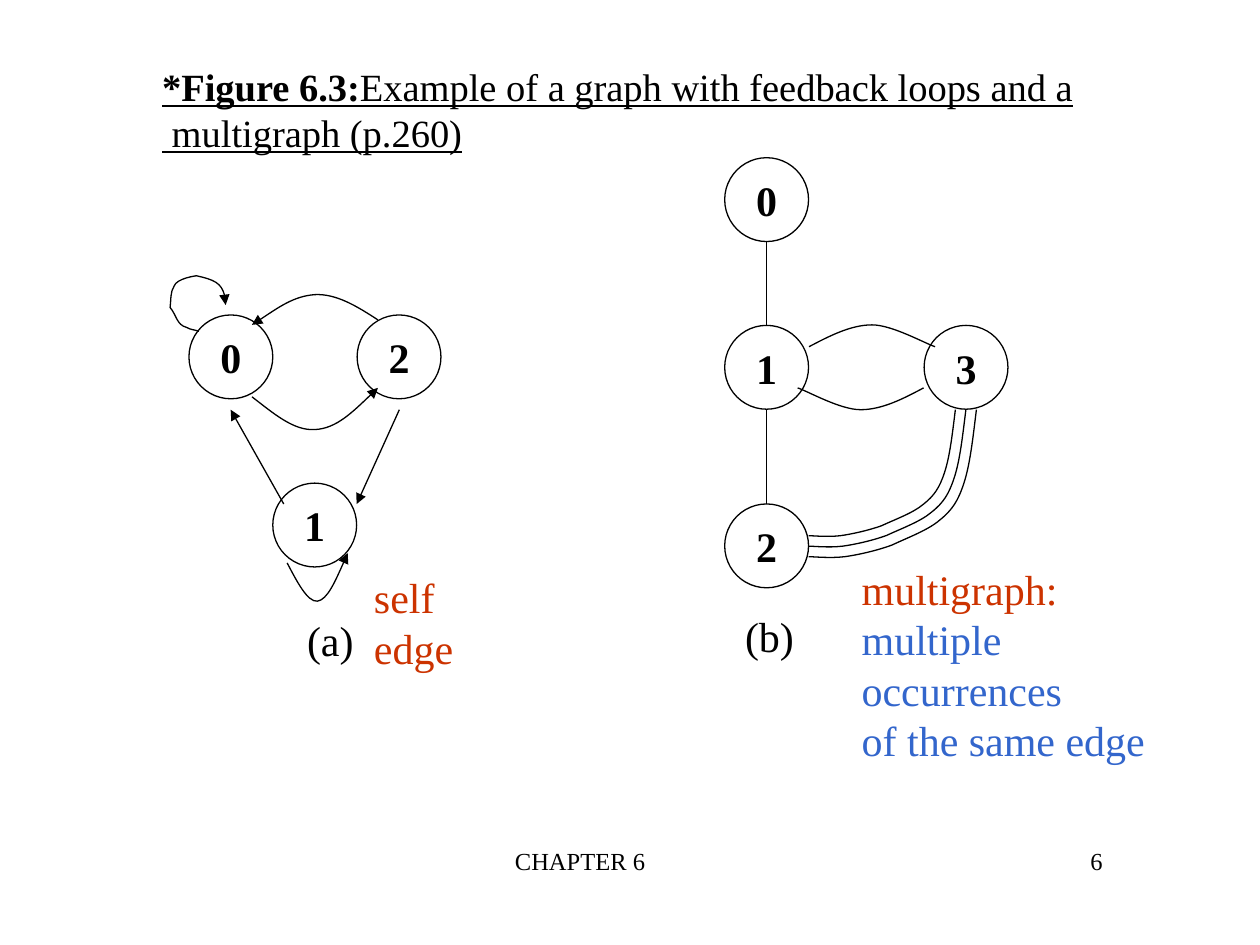
from dataclasses import dataclass

from lxml.etree import SubElement
from pptx import Presentation
from pptx.dml.color import RGBColor
from pptx.enum.shapes import MSO_CONNECTOR, MSO_SHAPE
from pptx.enum.text import MSO_ANCHOR, PP_ALIGN
from pptx.oxml.ns import qn
from pptx.util import Cm, Pt

BLACK = RGBColor(0x00, 0x00, 0x00)
RED = RGBColor(0xCC, 0x33, 0x00)
BLUE = RGBColor(0x33, 0x66, 0xCC)
FONT = "Times New Roman"
SIZE = 1.69  # node width in cm

Point = tuple[float, float]


@dataclass
class Node:
    text: str
    left: float
    top: float


@dataclass
class Edge:
    start: Point
    end: Point
    arrow: bool = False


@dataclass
class Curve:
    points: list[Point]  # start, then two handles and an end per piece
    arrow: bool = False


@dataclass
class Label:
    lines: list[tuple[str, RGBColor]]
    left: float
    top: float
    width: float
    height: float
    size: int = 24
    align: PP_ALIGN = PP_ALIGN.LEFT
    wrap: bool = False


NODES = [
    Node("0", 3.81, 6.35), Node("2", 7.2, 6.35), Node("1", 5.5, 9.74),
    Node("0", 14.61, 3.18), Node("1", 14.61, 6.56),
    Node("2", 14.61, 10.16), Node("3", 18.63, 6.56),
]
EDGES = [
    Edge((5.72, 10.16), (4.65, 8.26), True),
    Edge((8.05, 8.26), (7.19, 10.16), True),
    Edge((15.45, 4.87), (15.45, 6.56)),
    Edge((15.45, 8.25), (15.45, 10.16)),
]
CURVES = [
    # Graph (a): loop on 0, both ways between 0 and 2, loop on 1
    Curve([(4.01, 6.68), (3.94, 6.65), (3.84, 6.65), (3.76, 6.6),
           (3.56, 6.55), (3.56, 6.35), (3.43, 6.2),
           (3.45, 6.05), (3.43, 5.89), (3.51, 5.77),
           (3.56, 5.61), (3.96, 5.56), (3.96, 5.56),
           (4.32, 5.64), (4.55, 5.74), (4.55, 6.15)], True),
    Curve([(7.62, 6.45), (7.19, 6.17), (6.78, 5.92), (6.35, 5.94),
           (5.92, 5.97), (5.51, 6.27), (5.08, 6.55)], True),
    Curve([(5.08, 8), (5.51, 8.33), (5.92, 8.69), (6.35, 8.66),
           (6.78, 8.64), (7.19, 8.23), (7.62, 7.82)], True),
    Curve([(5.79, 11.35), (5.99, 11.73), (6.2, 12.14), (6.4, 12.12),
           (6.6, 12.09), (6.81, 11.61), (7.01, 11.15)], True),
    # Graph (b): two edges between 1 and 3
    Curve([(16.31, 6.99), (16.71, 6.78), (17.15, 6.55), (17.58, 6.55),
           (17.98, 6.55), (18.62, 6.91), (18.85, 6.99)]),
    Curve([(18.62, 7.82), (18.21, 8.04), (17.78, 8.26), (17.35, 8.26),
           (16.94, 8.26), (16.31, 7.9), (16.08, 7.82)]),
]
# Graph (b): three nested edges from 3 to 2, grown from one corner
CORNER = (16.3, 8.26)
BEND = [(2.96, 0), (2.9, 0.48), (2.85, 0.94), (2.74, 1.27),
        (2.64, 1.57), (2.54, 1.73), (2.31, 1.91),
        (2.11, 2.08), (1.75, 2.21), (1.47, 2.34),
        (1.19, 2.44), (0.86, 2.51), (0.64, 2.54),
        (0.38, 2.57), (0.1, 2.54), (0, 2.54)]
CURVES += [
    Curve([(CORNER[0] + x * (1 + step / 14), CORNER[1] + y * (1 + step / 12))
           for x, y in BEND])
    for step in range(3)
]
LABELS = [
    Label([("CHAPTER 6", BLACK)], 7.67, 16.94, 8.05, 1.27, 14, PP_ALIGN.CENTER, True),
    Label([("6", BLACK)], 17.2, 16.94, 5.28, 1.27, 14, PP_ALIGN.RIGHT, True),
    Label([("(a)", BLACK)], 5.94, 12.27, 1.45, 1.27),
    Label([("(b)", BLACK)], 14.77, 12.19, 1.49, 1.27),
    Label([("self edge", RED)], 7.29, 11.4, 3.53, 1.27),
    Label([("multigraph:", RED), ("multiple occurrences", BLUE),
           ("of the same edge", BLUE)], 17.12, 11.23, 7.57, 3.3),
]


def style(line, arrow: bool) -> None:
    line.color.rgb = BLACK
    line.width = Pt(0.75)
    if arrow:
        SubElement(line._get_or_add_ln(), qn("a:tailEnd"), type="triangle")


def set_font(font, size: int, color: RGBColor) -> None:
    font.name = FONT
    font.size = Pt(size)
    font.color.rgb = color


def draw_node(shapes, node: Node) -> None:
    shape = shapes.add_shape(MSO_SHAPE.OVAL, Cm(node.left), Cm(node.top),
                             Cm(SIZE), Cm(SIZE))
    shape.shadow.inherit = False
    shape.fill.background()
    style(shape.line, False)
    frame = shape.text_frame
    frame.word_wrap = False
    frame.vertical_anchor = MSO_ANCHOR.MIDDLE
    para = frame.paragraphs[0]
    para.text = node.text
    para.alignment = PP_ALIGN.CENTER
    set_font(para.font, 24, BLACK)
    para.font.bold = True


def draw_edge(shapes, edge: Edge) -> None:
    ends = [Cm(value) for value in edge.start + edge.end]
    line = shapes.add_connector(MSO_CONNECTOR.STRAIGHT, *ends)
    style(line.line, edge.arrow)
    SubElement(line._element.spPr, qn("a:effectLst"))


def draw_curve(shapes, curve: Curve) -> None:
    first, *rest = [(Cm(x), Cm(y)) for x, y in curve.points]
    pen = shapes.build_freeform(*first)
    pen.add_line_segments(rest, close=False)
    shape = pen.convert_to_shape()
    shape.shadow.inherit = False
    shape.fill.background()
    style(shape.line, curve.arrow)
    # Join each three straight parts into one Bezier piece
    parts = list(shape._element.iter(qn("a:lnTo")))
    track = parts[0].getparent()
    for start in range(0, len(parts), 3):
        piece = SubElement(track, qn("a:cubicBezTo"))
        for part in parts[start:start + 3]:
            piece.append(part[0])
            track.remove(part)


def add_frame(shapes, left: float, top: float, width: float, height: float,
              wrap: bool = False):
    box = shapes.add_textbox(Cm(left), Cm(top), Cm(width), Cm(height))
    box.text_frame.word_wrap = wrap
    return box.text_frame


def draw_label(shapes, label: Label) -> None:
    frame = add_frame(shapes, label.left, label.top, label.width,
                      label.height, label.wrap)
    for index, (text, color) in enumerate(label.lines):
        para = frame.add_paragraph() if index else frame.paragraphs[0]
        para.text = text
        para.alignment = label.align
        set_font(para.font, label.size, color)


def draw_title(shapes) -> None:
    frame = add_frame(shapes, 3.02, 1.14, 18.87, 2.13)
    head = frame.paragraphs[0]
    bold = head.add_run()
    bold.text = "*Figure 6.3:"
    bold.font.bold = True
    head.add_run().text = "Example of a graph with feedback loops and a"
    frame.add_paragraph().text = " multigraph (p.260)"
    for para in frame.paragraphs:
        set_font(para.font, 22, BLACK)
        para.font.underline = True


def main() -> None:
    deck = Presentation()
    deck.slide_width, deck.slide_height = Cm(25.4), Cm(19.05)
    shapes = deck.slides.add_slide(deck.slide_layouts[6]).shapes
    draw_title(shapes)
    for draw, items in ((draw_node, NODES), (draw_edge, EDGES),
                        (draw_curve, CURVES), (draw_label, LABELS)):
        for item in items:
            draw(shapes, item)
    deck.save("out.pptx")


if __name__ == "__main__":
    main()
